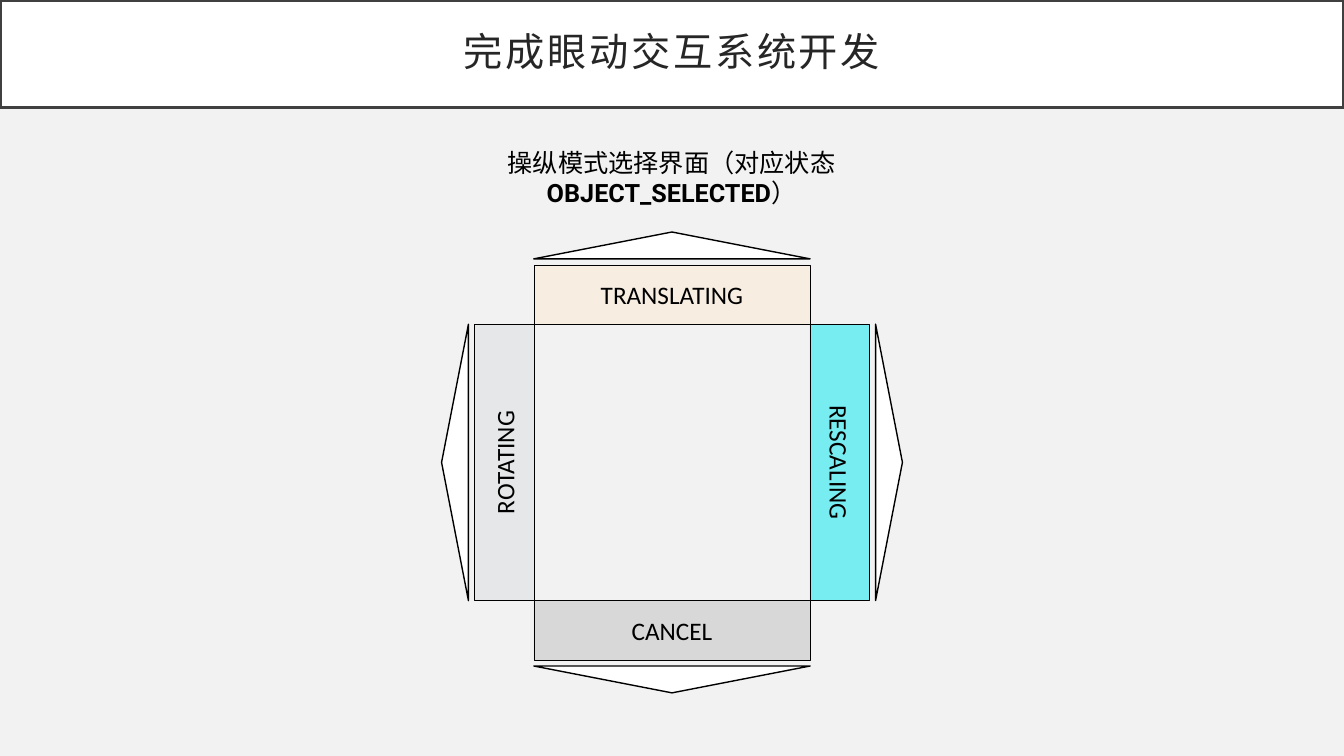
"""Build the slide showing the eye-tracking manipulation mode selector."""
import math

import pptx
import pptx.enum.shapes
import pptx.enum.text
import pptx.oxml
import pptx.util
from pptx.dml.color import RGBColor

Pt = pptx.util.Pt
SHAPES = pptx.enum.shapes.MSO_SHAPE
ALIGN = pptx.enum.text.PP_ALIGN
ANCHOR = pptx.enum.text.MSO_ANCHOR

COLORS = {
    "background": "F2F2F2",
    "white": "FFFFFF",
    "black": "000000",
    "title_line": "404040",
    "title_text": "262626",
    "translating": "FDECD2",
    "rescaling": "00EAF1",
    "cancel": "BFBFBF",
    "rotating": "D9DDDF",
}
CENTER_X, CENTER_Y = 480, 330.3
SIDE = 197.4
BAR_HEIGHT, BAR_DISTANCE = 42.6, 119.8
ARROW_HEIGHT, ARROW_DISTANCE = 19.2, 155


def rgb(name):
    """Return the named colour."""
    return RGBColor.from_string(COLORS[name])


def write(paragraph, text, size=18, font="Calibri", color="black", bold=False, spacing=0):
    """Add formatted text to a centred paragraph."""
    paragraph.alignment = ALIGN.CENTER
    run = paragraph.add_run()
    run.text = text
    run.font.size = Pt(size)
    run.font.name = font
    run.font.bold = bold
    run.font.color.rgb = rgb(color)
    if spacing:
        run.font._element.set("spc", str(spacing * 100))


def paint(shape, fill, line, line_width, opacity=100):
    """Set the fill, its opacity and the outline of a shape."""
    shape.fill.solid()
    shape.fill.fore_color.rgb = rgb(fill)
    if opacity < 100:
        color = shape.fill._xPr.find(".//" + pptx.oxml.ns.qn("a:srgbClr"))
        alpha = pptx.oxml.parse_xml(
            f'<a:alpha {pptx.oxml.ns.nsdecls("a")} val="{opacity * 1000}"/>')
        color.append(alpha)
    shape.line.color.rgb = rgb(line)
    shape.line.width = Pt(line_width)


def add_title(slide, text):
    """Fill the title placeholder as a banner across the top."""
    banner = slide.shapes.title
    banner.left, banner.top, banner.width, banner.height = Pt(0), Pt(0), Pt(960), Pt(77)
    paint(banner, "white", "title_line", 2.5)
    frame = banner.text_frame
    frame.margin_left = frame.margin_right = Pt(14.4)
    frame.margin_top = frame.margin_bottom = Pt(14.4)
    frame.vertical_anchor = ANCHOR.MIDDLE
    frame.paragraphs[0].line_spacing = 0.9
    write(frame.paragraphs[0], text, size=28, color="title_text", spacing=2)


def add_caption(slide):
    """Add the caption naming the interface and its state."""
    caption = slide.shapes.add_textbox(Pt(268), Pt(101.5), Pt(423.4), Pt(29))
    frame = caption.text_frame
    frame.word_wrap = True
    frame.auto_size = pptx.enum.text.MSO_AUTO_SIZE.SHAPE_TO_FIT_TEXT
    for text, bold in (("操纵模式选择界面（对应状态 ", False),
                       ("OBJECT_SELECTED", True), ("）", False)):
        write(frame.paragraphs[0], text, font="Roboto", bold=bold)


def add_around(group, kind, angle, distance, height):
    """Add a shape on the side of the selector that lies at a clockwise angle."""
    x = CENTER_X + distance * math.sin(math.radians(angle))
    y = CENTER_Y - distance * math.cos(math.radians(angle))
    shape = group.shapes.add_shape(
        kind, Pt(x - SIDE / 2), Pt(y - height / 2), Pt(SIDE), Pt(height))
    shape.shadow.inherit = False
    return shape


def add_mode(group, label, angle, rotation):
    """Add a labelled mode bar."""
    bar = add_around(group, SHAPES.RECTANGLE, angle, BAR_DISTANCE, BAR_HEIGHT)
    bar.rotation = rotation
    paint(bar, label.lower(), "black", 0.25, opacity=50)
    bar.text_frame.vertical_anchor = ANCHOR.MIDDLE
    write(bar.text_frame.paragraphs[0], label)


def add_pointer(group, angle):
    """Add a flat triangle that points outwards."""
    pointer = add_around(group, SHAPES.ISOSCELES_TRIANGLE, angle, ARROW_DISTANCE, ARROW_HEIGHT)
    pointer.rotation = angle
    paint(pointer, "white", "black", 1)


def main():
    """Build and save the presentation."""
    deck = pptx.Presentation()
    deck.slide_width, deck.slide_height = Pt(960), Pt(540)
    slide = deck.slides.add_slide(deck.slide_layouts.get_by_name("Title Only"))
    slide.background.fill.solid()
    slide.background.fill.fore_color.rgb = rgb("background")
    add_title(slide, "完成眼动交互系统开发")
    add_caption(slide)
    selector = slide.shapes.add_group_shape()
    for label, angle, rotation in (("TRANSLATING", 0, 0), ("ROTATING", 270, 270),
                                   ("CANCEL", 180, 0), ("RESCALING", 90, 90)):
        add_mode(selector, label, angle, rotation)
    for angle in range(0, 360, 90):
        add_pointer(selector, angle)
    deck.save("out.pptx")


if __name__ == "__main__":
    main()
